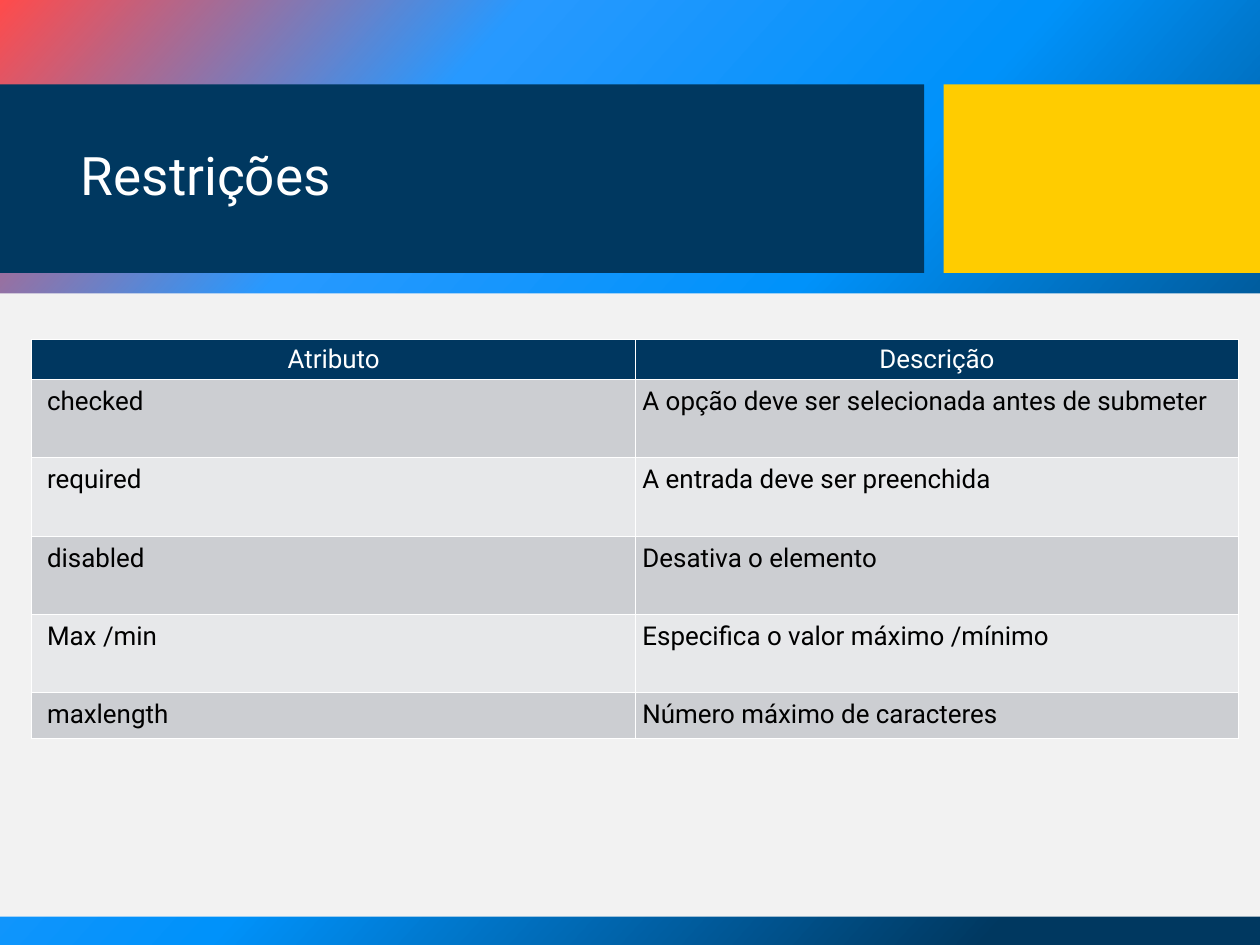
import pptx
import pptx.util
import pptx.dml.color
import pptx.enum.shapes
import pptx.enum.text
import pptx.oxml
import pptx.oxml.ns
import lxml.etree

Inches = pptx.util.Inches
Pt = pptx.util.Pt
RGB = pptx.dml.color.RGBColor
qn = pptx.oxml.ns.qn

# Content
TITLE = "Restrições"
ROWS = [
    ("Atributo", "Descrição"),
    ("checked", "A opção deve ser selecionada antes de submeter"),
    ("required", "A entrada deve ser preenchida"),
    ("disabled", "Desativa o elemento"),
    ("Max /min", "Especifica o valor máximo /mínimo"),
    ("maxlength", "Número máximo de caracteres"),
]

# Look
FONT = "Roboto"
NAVY = RGB(0x00, 0x38, 0x60)
HEAD = RGB(0x00, 0x37, 0x60)
GOLD = RGB(0xFF, 0xCC, 0x00)
PALE = RGB(0xF2, 0xF2, 0xF2)
WHITE = RGB(0xFF, 0xFF, 0xFF)
BLACK = RGB(0x00, 0x00, 0x00)
BANDS = [RGB(0xE7, 0xE8, 0xEA), RGB(0xCC, 0xCE, 0xD2)]
STOPS = [
    (0, RGB(0xFF, 0x4B, 0x4B)),
    (25, RGB(0x27, 0x99, 0xFF)),
    (50, RGB(0x00, 0x92, 0xFA)),
    (87, NAVY),
    (100, NAVY),
]
WIDE, HIGH = 14.18, 10.63
PANELS = [
    (0, 0.95, 10.4, 2.12, NAVY),
    (10.62, 0.95, WIDE - 10.62, 2.12, GOLD),
    (0, 3.3, WIDE, 7.01, PALE),
]
COL = 6.79
TALLS = [0.45] + [0.88] * 4 + [0.52]


def add_fill(node, color):
    solid = lxml.etree.SubElement(node, qn("a:solidFill"))
    lxml.etree.SubElement(solid, qn("a:srgbClr"), val=str(color))


def set_edges(cell):
    props = cell._tc.get_or_add_tcPr()
    for spot, side in enumerate("LRTB"):
        line = pptx.oxml.parse_xml(
            f'<a:ln{side} {pptx.oxml.ns.nsdecls("a")} w="{Pt(1)}"/>')
        add_fill(line, WHITE)
        props.insert(spot, line)


deck = pptx.Presentation()
deck.slide_width, deck.slide_height = Inches(WIDE), Inches(HIGH)
slide = deck.slides.add_slide(deck.slide_layouts[5])

# Background gradient
back = slide.background.fill
back.gradient()
back.gradient_angle = 360 - 42
stops = next(slide._element.iter(qn("a:gsLst")))
for old in list(stops):
    stops.remove(old)
for pos, color in STOPS:
    stop = lxml.etree.SubElement(stops, qn("a:gs"), pos=str(pos * 1000))
    add_fill(stop, color)
    stop.replace(stop[0], stop[0][0])

# Panels
for left, top, width, height, color in PANELS:
    panel = slide.shapes.add_shape(
        pptx.enum.shapes.MSO_SHAPE.RECTANGLE,
        Inches(left), Inches(top), Inches(width), Inches(height))
    panel.shadow.inherit = False
    panel.fill.solid()
    panel.fill.fore_color.rgb = color
    panel.line.fill.background()

# Title, brought in front of the panels
title = slide.shapes.title
slide.shapes._spTree.append(title._element)
title.left, title.top = Inches(0.79), Inches(1.17)
title.width, title.height = Inches(9.32), Inches(1.68)
frame = title.text_frame
frame.text = TITLE
frame.word_wrap = True
frame.auto_size = pptx.enum.text.MSO_AUTO_SIZE.NONE
frame.vertical_anchor = pptx.enum.text.MSO_ANCHOR.MIDDLE
frame.margin_left = frame.margin_right = Inches(0.12)
frame.margin_top = frame.margin_bottom = Inches(0.06)
para = frame.paragraphs[0]
para.alignment = pptx.enum.text.PP_ALIGN.LEFT
para.line_spacing = 0.9
para.font.name, para.font.size = FONT, Pt(43)
para.font.color.rgb = WHITE

# Table
table = slide.shapes.add_table(
    len(ROWS), 2, Inches(0.36), Inches(3.82),
    Inches(2 * COL), Inches(sum(TALLS))).table
for column in table.columns:
    column.width = Inches(COL)
for r, (row, tall) in enumerate(zip(ROWS, TALLS)):
    table.rows[r].height = Inches(tall)
    for c, text in enumerate(row):
        cell = table.cell(r, c)
        cell.text = text
        cell.fill.solid()
        cell.fill.fore_color.rgb = BANDS[r % 2] if r else HEAD
        set_edges(cell)
        para = cell.text_frame.paragraphs[0]
        para.font.name, para.font.size = FONT, Pt(21)
        para.font.bold = False
        para.font.color.rgb = BLACK if r else WHITE
        if r:
            cell.margin_left = Inches(0.08 if c else 0.17)
            cell.margin_right = Inches(0.08)
            cell.margin_top = cell.margin_bottom = Inches(0.08)
        else:
            para.alignment = pptx.enum.text.PP_ALIGN.CENTER

deck.save("out.pptx")
